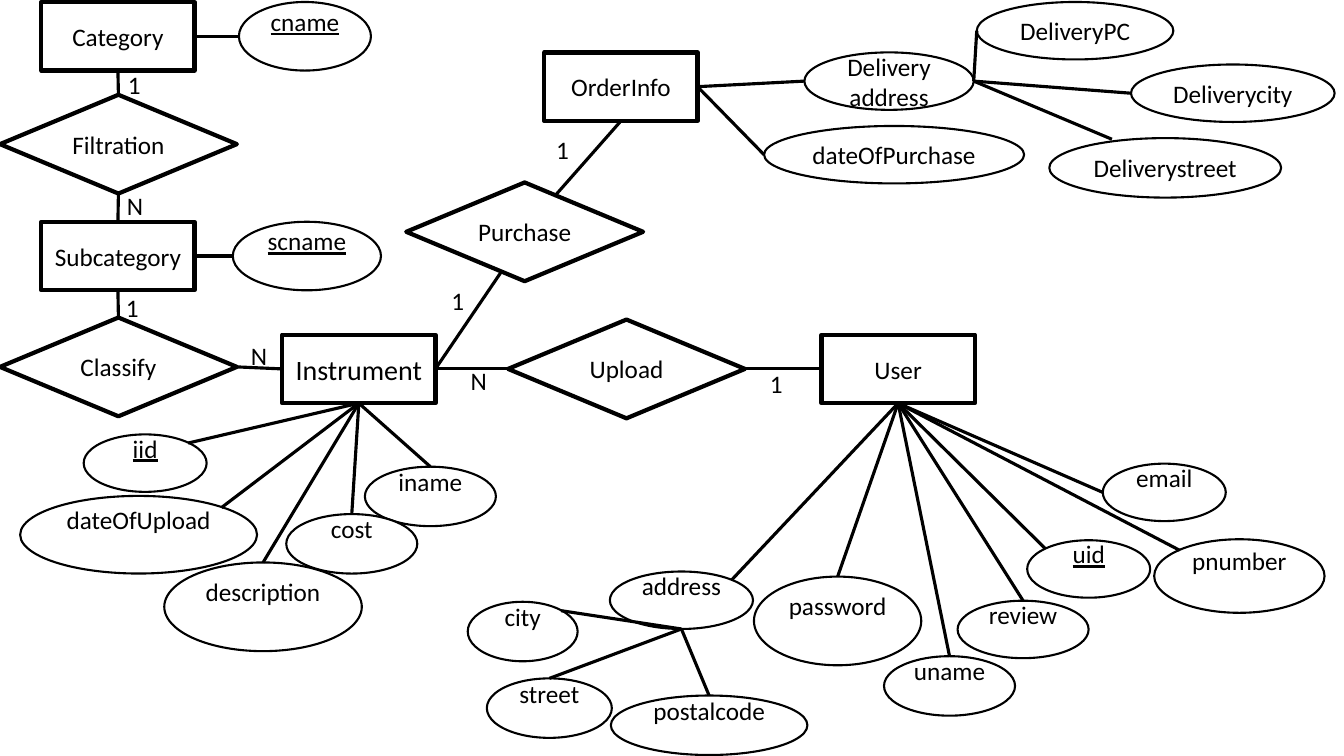
from dataclasses import dataclass

from lxml.etree import SubElement
from pptx import Presentation
from pptx.dml.color import RGBColor
from pptx.enum.shapes import MSO_CONNECTOR as Connector, MSO_SHAPE as Preset
from pptx.enum.text import MSO_ANCHOR as Anchor, PP_ALIGN as Align
from pptx.oxml.ns import qn
from pptx.util import Inches, Pt


@dataclass(frozen=True)
class Theme:
    font: str = "Calibri"
    ink: RGBColor = RGBColor(0, 0, 0)
    paper: RGBColor = RGBColor(255, 255, 255)
    text_size: int = 18
    large_size: int = 20
    frame_width: float = 3
    link_width: float = 2.25
    oval_width: float = 1.5


THEME = Theme()

# The grid has ten columns and ten rows to the inch
COLUMNS, ROWS = 133.33, 75
ENTITY_SIZE = (15.2, 6.8)
RELATION_SIZE = (23.5, 9.8)
LABEL_SIZE = (3.6, 4)
RAISED_INSET = 3

# Points on an outline, as shares of the shape's width and height
SITES = {
    "top": (0.5, 0), "bottom": (0.5, 1), "left": (0, 0.5), "right": (1, 0.5),
    "top left": (0.15, 0.15), "top right": (0.85, 0.15),
}

# Name: left column, top row
ENTITIES = {
    "Category": (4.1, 0.2),
    "Subcategory": (4.1, 22),
    "Instrument": (28, 33.2),
    "User": (81.5, 33.2),
    "OrderInfo": (54, 5.2),
}
RELATIONS = {
    "Filtration": (0, 9.4),
    "Classify": (0, 31.5),
    "Upload": (50.4, 31.7),
    "Purchase": (40.3, 18.1),
}

# Name: left column, top row, columns wide, rows high
RAISED_ATTRIBUTES = {
    "uid": (101.9, 53.6, 12.2, 5.7),
    "scname": (23.1, 22, 14.7, 6.8),
    "pnumber": (114.5, 53.5, 16.9, 7.3),
    "password": (74.8, 57.2, 16.6, 8.8),
    "review": (95, 59.6, 13, 5.7),
    "address": (60.5, 56.7, 14.2, 5.7),
    "uname": (87.7, 65.1, 13, 5.9),
    "cname": (23.7, 0.2, 13.1, 6.8),
    "email": (109.4, 46, 12.2, 5.7),
    "iid": (8.3, 43.1, 12.2, 5.7),
    "iname": (36.2, 46.3, 13, 5.9),
    "cost": (28.4, 51, 13, 5.9),
    "description": (16.3, 55.8, 19.6, 8.8),
    "city": (46.4, 59.7, 10.9, 5.9),
    "street": (48.3, 67.3, 12.4, 5.9),
    "postalcode": (60.6, 69, 19.5, 5.9),
    "dateOfUpload": (2, 49.2, 23.5, 7.7),
}
CENTRED_ATTRIBUTES = {
    "Delivery address": (79.8, 5.2, 16.8, 5.7),
    "dateOfPurchase": (75.8, 12.5, 25.8, 5.7),
    "DeliveryPC": (96.9, 0.2, 19.5, 5.7),
    "Deliverycity": (112.2, 6.4, 20.2, 5.7),
    "Deliverystreet": (104.1, 13.7, 23, 5.9),
}
KEYS = {"uid", "scname", "cname", "iid"}

# Each hub and its site, then the shapes it reaches
LINKS = {
    ("Category", "bottom"): {"Filtration": "top"},
    ("Category", "right"): {"cname": "left"},
    ("Subcategory", "top"): {"Filtration": "bottom"},
    ("Subcategory", "right"): {"scname": "left"},
    ("Subcategory", "bottom"): {"Classify": "top"},
    ("Instrument", "left"): {"Classify": "right"},
    ("Instrument", "right"): {"Upload": "left", "Purchase": (0.4, 0.91)},
    ("Instrument", "bottom"): {
        "iid": "top right", "iname": "top", "cost": "top",
        "description": "top", "dateOfUpload": "top right"},
    ("User", "left"): {"Upload": "right"},
    ("User", "bottom"): {
        "uid": "top left", "email": "left", "pnumber": "top left",
        "password": "top", "review": "top", "address": "top right",
        "uname": "top"},
    ("address", "bottom"): {
        "street": "top", "city": "top right", "postalcode": "top"},
    ("OrderInfo", "bottom"): {"Purchase": (0.63, 0.13)},
    ("OrderInfo", "right"): {
        "Delivery address": "left", "dateOfPurchase": "left"},
    ("Delivery address", "right"): {
        "DeliveryPC": "left", "Deliverycity": "left",
        "Deliverystreet": (0.27, 0.02)},
}

# Cardinality: the places where it stands
CARDINALITIES = {
    "N": [(45.7, 35.8), (23.9, 33.3), (11.6, 18.4)],
    "1": [(75.4, 36), (11.5, 28.5), (11.7, 6.4), (43.8, 27.8), (54.2, 12.8)],
}


def cells(count):
    return Inches(count / 10)


def write(shape, text, size=THEME.text_size, align=Align.CENTER, underline=None):
    frame = shape.text_frame
    frame.word_wrap = True
    paragraph = frame.paragraphs[0]
    paragraph.text = text
    paragraph.alignment = align
    font = paragraph.font
    font.name, font.size, font.underline = THEME.font, Pt(size), underline
    font.color.rgb = THEME.ink


def add_node(slide, preset, box, line_width):
    shape = slide.shapes.add_shape(preset, *map(cells, box))
    shape.shadow.inherit = False
    shape.fill.background()
    shape.line.color.rgb = THEME.ink
    shape.line.width = Pt(line_width)
    shape.text_frame.vertical_anchor = Anchor.MIDDLE
    return shape


def add_framed(slide, preset, name, place, size):
    shape = add_node(slide, preset, place + size, THEME.frame_width)
    write(shape, name,
          THEME.large_size if name == "Instrument" else THEME.text_size)
    return shape


def add_attribute(slide, name, box, bottom_inset):
    shape = add_node(slide, Preset.OVAL, box, THEME.oval_width)
    shape.fill.solid()
    shape.fill.fore_color.rgb = THEME.paper
    frame = shape.text_frame
    frame.margin_left = frame.margin_right = frame.margin_top = 0
    frame.margin_bottom = cells(bottom_inset)
    write(shape, name, underline=True if name in KEYS else None)
    return shape


def site_point(shape, site):
    across, down = SITES.get(site, site)
    return (int(shape.left + across * shape.width),
            int(shape.top + down * shape.height))


def add_link(slide, start, end):
    connector = slide.shapes.add_connector(Connector.STRAIGHT, *start, *end)
    connector.line.color.rgb = THEME.ink
    connector.line.width = Pt(THEME.link_width)
    SubElement(connector._element.spPr, qn("a:effectLst"))


def add_cardinality(slide, text, place):
    label = slide.shapes.add_textbox(*map(cells, place + LABEL_SIZE))
    write(label, text, align=Align.LEFT)


def main():
    presentation = Presentation()
    presentation.slide_width = cells(COLUMNS)
    presentation.slide_height = cells(ROWS)
    slide = presentation.slides.add_slide(presentation.slide_layouts[6])

    # Entities, relations and attributes
    nodes = {}
    for name, place in ENTITIES.items():
        nodes[name] = add_framed(
            slide, Preset.RECTANGLE, name, place, ENTITY_SIZE)
    for name, place in RELATIONS.items():
        nodes[name] = add_framed(
            slide, Preset.FLOWCHART_DECISION, name, place, RELATION_SIZE)
    for attributes, inset in ((RAISED_ATTRIBUTES, RAISED_INSET),
                              (CENTRED_ATTRIBUTES, 0)):
        for name, box in attributes.items():
            nodes[name] = add_attribute(slide, name, box, inset)

    # Links between them
    for (hub, hub_site), targets in LINKS.items():
        for name, site in targets.items():
            add_link(slide, site_point(nodes[hub], hub_site),
                     site_point(nodes[name], site))

    # Cardinalities beside the links
    for text, places in CARDINALITIES.items():
        for place in places:
            add_cardinality(slide, text, place)

    presentation.save("out.pptx")


if __name__ == "__main__":
    main()
